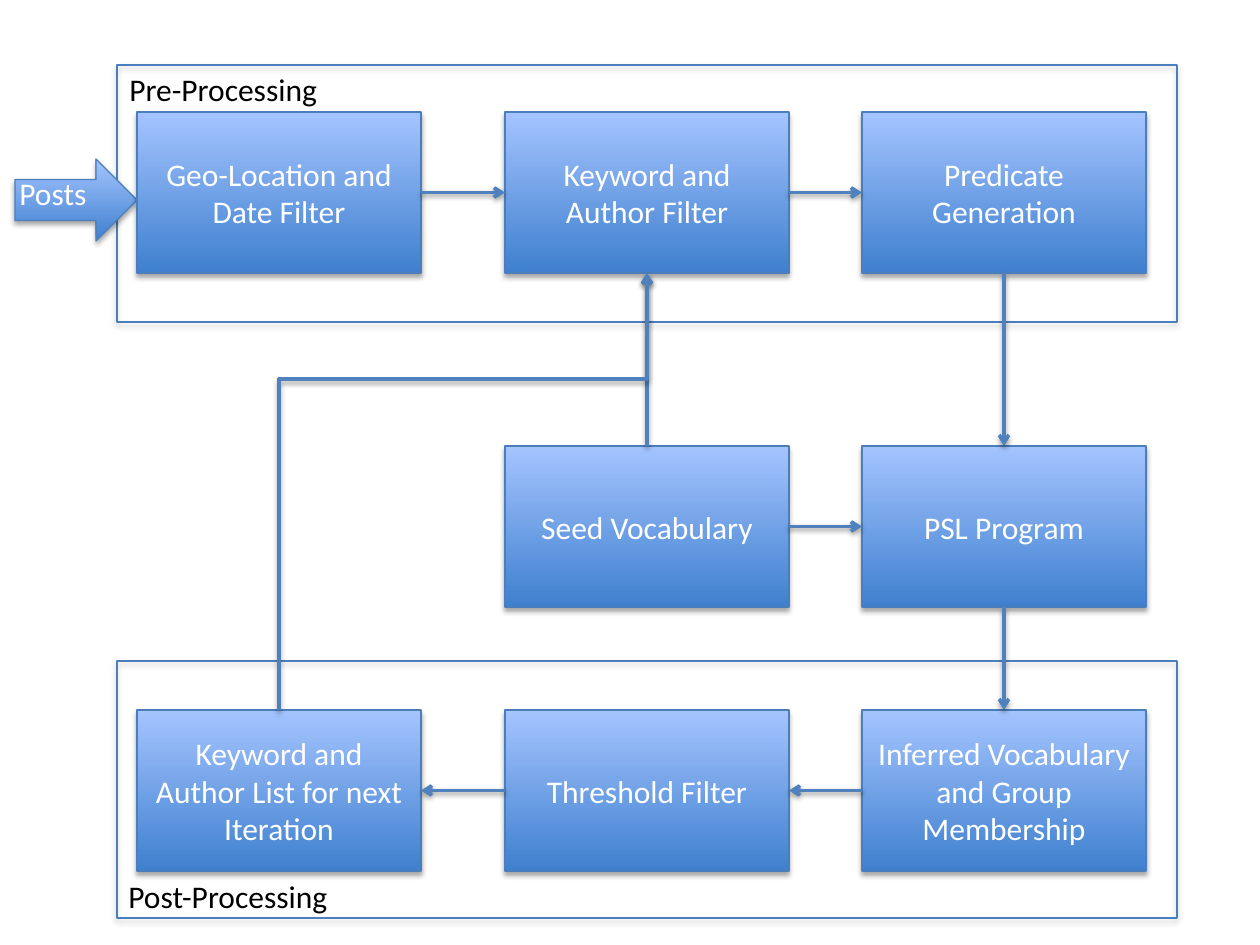
from dataclasses import dataclass

from lxml import etree
from pptx import Presentation
from pptx.dml.color import RGBColor
from pptx.enum.shapes import MSO_CONNECTOR, MSO_SHAPE
from pptx.enum.text import MSO_ANCHOR, PP_ALIGN
from pptx.oxml.ns import qn
from pptx.util import Pt

RECT, RIGHT_ARROW = MSO_SHAPE.RECTANGLE, MSO_SHAPE.RIGHT_ARROW
STRAIGHT, ELBOW = MSO_CONNECTOR.STRAIGHT, MSO_CONNECTOR.ELBOW
CENTER, MIDDLE, TOP_ANCHOR = PP_ALIGN.CENTER, MSO_ANCHOR.MIDDLE, MSO_ANCHOR.TOP
TOP, LEFT, BOTTOM, RIGHT = range(4)  # connection sites of a rectangle
PX = 914400 / 126


@dataclass(frozen=True)
class Theme:
    font: str = "Calibri"
    size: int = 18
    dark: str = "3F80CE"
    light: str = "A4C4FF"
    outline: str = "4B7EBC"
    link: str = "4F81BD"
    ink: str = "000000"
    paper: str = "FFFFFF"


THEME = Theme()
BOX_W, BOX_H = 284, 161
COLS, ROWS = (137, 505, 862), (112, 446, 710)


def px(n):
    """Turn picture pixels into EMU."""
    return round(n * PX)


def rgb(value):
    """Turn a hex string into a colour."""
    return RGBColor.from_string(value)


def add_shadow(sp, alpha, dist):
    """Give a shape or connector a soft shadow straight below it."""
    effects = etree.SubElement(sp._element.spPr, qn("a:effectLst"))
    shadow = etree.SubElement(effects, qn("a:outerShdw"), blurRad=str(Pt(3.1)),
                              dist=str(Pt(dist)), dir="5400000", rotWithShape="0")
    color = etree.SubElement(shadow, qn("a:srgbClr"), val=THEME.ink)
    etree.SubElement(color, qn("a:alpha"), val=str(alpha * 1000))


def add_text(tf, text, color):
    """Write one run in the theme font."""
    r = tf.paragraphs[0].add_run()
    r.text = text
    r.font.name, r.font.size = THEME.font, Pt(THEME.size)
    r.font.color.rgb = rgb(color)


def add_panel(slide, kind, x, y, w, h, filled=True):
    """Draw an outlined shape with a shadow, with gradient or no fill."""
    sp = slide.shapes.add_shape(kind, px(x), px(y), px(w), px(h))
    if filled:
        sp.fill.gradient()
        sp.fill.gradient_angle = 90
        for stop, color in zip(sp.fill.gradient_stops, (THEME.dark, THEME.light)):
            stop.color.rgb = rgb(color)
    else:
        sp.fill.background()
    sp.line.color.rgb, sp.line.width = rgb(THEME.outline), Pt(0.75)
    add_shadow(sp, 35, 1.8)
    return sp


def add_label(slide, text, x, y, w, color):
    """Place a single-line label."""
    tf = slide.shapes.add_textbox(px(x), px(y), px(w), px(50)).text_frame
    tf.word_wrap = False
    tf.vertical_anchor = TOP_ANCHOR
    add_text(tf, text, color)


def add_stage(slide, text, x, y, w, h, label_dx, label_dy):
    """Draw a stage frame with its label offset from the top left corner."""
    add_panel(slide, RECT, x, y, w, h, filled=False)
    add_label(slide, text, x + label_dx, y + label_dy, 229, THEME.ink)


def add_input(slide, text, x, y, w, h):
    """Draw the block arrow that feeds the process."""
    add_panel(slide, RIGHT_ARROW, x, y, w, h)
    add_label(slide, text, x - 8, y + 9, w + 6, THEME.paper)


def add_step(slide, text, x, y, w, h):
    """Draw one process box with centred text."""
    sp = add_panel(slide, RECT, x, y, w, h)
    tf = sp.text_frame
    tf.word_wrap = True
    tf.vertical_anchor = MIDDLE
    tf.paragraphs[0].alignment = CENTER
    add_text(tf, text, THEME.paper)
    return sp


def style_link(cxn):
    """Give a connector its line, arrowhead and shadow."""
    cxn.line.color.rgb, cxn.line.width = rgb(THEME.link), Pt(2)
    etree.SubElement(cxn.line._get_or_add_ln(), qn("a:tailEnd"), type="arrow")
    add_shadow(cxn, 38, 1.6)


def add_link(slide, start, start_site, end, end_site):
    """Join two boxes with a straight arrow."""
    cxn = slide.shapes.add_connector(STRAIGHT, 0, 0, 0, 0)
    cxn.begin_connect(start, start_site)
    cxn.end_connect(end, end_site)
    style_link(cxn)


def add_feedback(slide, x1, y1, x2, y2, bend_y):
    """Draw an elbow arrow that runs up, across at bend_y, and up again."""
    across, rise = x2 - x1, y1 - y2
    left, top = (x1 + x2 - rise) / 2, (y1 + y2 - across) / 2
    cxn = slide.shapes.add_connector(ELBOW, px(left + rise), px(top + across),
                                     px(left), px(top))
    spPr = cxn._element.spPr
    spPr.find(qn("a:xfrm")).set("rot", "5400000")
    guides = spPr.find(qn("a:prstGeom")).get_or_add_avLst()
    bend = round((y1 - bend_y) / rise * 100000)
    etree.SubElement(guides, qn("a:gd"), name="adj1", fmla=f"val {bend}")
    style_link(cxn)


def add_flow(slide):
    """Place the process boxes on their grid and link them."""
    texts = {
        "geo": ("Geo-Location and Date Filter", 0, 0),
        "keyword": ("Keyword and Author Filter", 1, 0),
        "predicate": ("Predicate Generation", 2, 0),
        "seed": ("Seed Vocabulary", 1, 1),
        "program": ("PSL Program", 2, 1),
        "next": ("Keyword and Author List for next Iteration", 0, 2),
        "threshold": ("Threshold Filter", 1, 2),
        "inferred": ("Inferred Vocabulary and Group Membership", 2, 2),
    }
    steps = {key: add_step(slide, text, COLS[col], ROWS[row], BOX_W, BOX_H)
             for key, (text, col, row) in texts.items()}
    links = [
        ("geo", RIGHT, "keyword", LEFT),
        ("keyword", RIGHT, "predicate", LEFT),
        ("predicate", BOTTOM, "program", TOP),
        ("program", BOTTOM, "inferred", TOP),
        ("seed", TOP, "keyword", BOTTOM),
        ("seed", RIGHT, "program", LEFT),
        ("inferred", LEFT, "threshold", RIGHT),
        ("threshold", LEFT, "next", RIGHT),
    ]
    for start, start_site, end, end_site in links:
        add_link(slide, steps[start], start_site, steps[end], end_site)
    add_feedback(slide, COLS[0] + BOX_W / 2, ROWS[2],
                 COLS[1] + BOX_W / 2, ROWS[0] + BOX_H, 379)


prs = Presentation()
prs.slide_width, prs.slide_height = px(1260), px(945)
slide = prs.slides.add_slide(prs.slide_layouts[6])
add_stage(slide, "Pre-Processing", 117, 65, 1060, 257, 0, -1)
add_stage(slide, "Post-Processing", 117, 661, 1060, 257, -1, 210)
add_input(slide, "Posts", 15, 159, 122, 82)
add_flow(slide)
prs.save("out.pptx")
